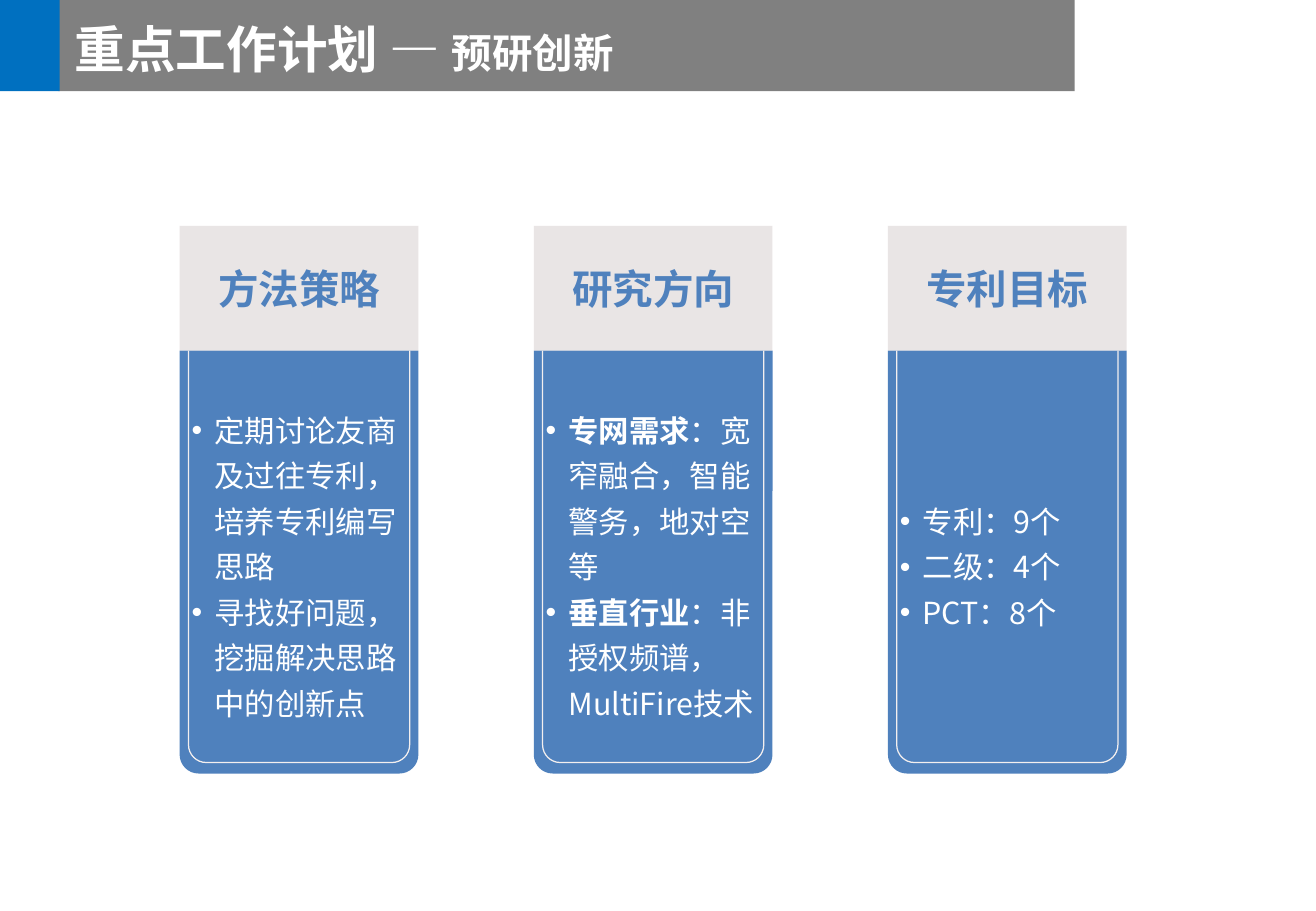
"""Build the key work plan slide on research and innovation."""
from lxml import etree
from pptx import Presentation
from pptx.dml.color import RGBColor
from pptx.enum.shapes import MSO_SHAPE
from pptx.enum.text import MSO_ANCHOR, PP_ALIGN
from pptx.oxml.ns import qn
from pptx.util import Pt

RECT = MSO_SHAPE.RECTANGLE
MIDDLE = MSO_ANCHOR.MIDDLE
LEFT, CENTER = PP_ALIGN.LEFT, PP_ALIGN.CENTER
FONT = "Noto Sans CJK SC"
COLORS = {"bar": "808080", "accent": "0070C0", "card": "4F81BD",
          "head": "BDAFAF", "outline": "F3EFEF", "white": "FFFFFF"}

TITLE = [[("重点工作计划 — ", 30, True), ("预研创新", 24, True)]]
CARDS = [
    ("方法策略", [[("定期讨论友商及过往专利，培养专利编写思路", 18, False)],
              [("寻找好问题，挖掘解决思路中的创新点", 18, False)]]),
    ("研究方向", [[("专网需求", 18, True), ("：宽窄融合，智能警务，地对空等", 18, False)],
              [("垂直行业", 18, True), ("：非授权频谱，MultiFire技术", 18, False)]]),
    ("专利目标", [[("专利：9个", 18, False)],
              [("二级：4个", 18, False)],
              [("PCT：8个", 18, False)]]),
]

SLIDE_W, SLIDE_H = 780, 540
CARD_X, CARD_W, CARD_PITCH = 106.5, 141.5, 209.9
HEAD_Y, HEAD_H = 133.9, 74
BODY_Y, BODY_H, BODY_R = HEAD_Y + HEAD_H, 250.6, 11.2
LINE_INSET, LINE_H, LINE_R = 5.2, 244.1, 10.5
BULLET_INDENT = 13.5
ROUNDNESS = 0.55


def write(sp, paragraphs, color="white", align=LEFT, inset=(7.2, 3.6),
          bullets=False, spacing=None):
    tf = sp.text_frame
    tf.word_wrap = True
    tf.vertical_anchor = MIDDLE
    tf.margin_left = tf.margin_right = Pt(inset[0])
    tf.margin_top = tf.margin_bottom = Pt(inset[1])
    for i, runs in enumerate(paragraphs):
        p = tf.add_paragraph() if i else tf.paragraphs[0]
        p.alignment = align
        p.line_spacing = spacing
        if bullets:
            pPr = p._p.get_or_add_pPr()
            pPr.set("marL", str(Pt(BULLET_INDENT)))
            pPr.set("indent", str(-Pt(BULLET_INDENT)))
            etree.SubElement(pPr, qn("a:buFont")).set("typeface", "Arial")
            etree.SubElement(pPr, qn("a:buChar")).set("char", "•")
        for text, size, bold in runs:
            r = p.add_run()
            r.text = text
            r.font.size = Pt(size)
            r.font.bold = bold
            r.font.name = FONT
            r.font.color.rgb = RGBColor.from_string(COLORS[color])
            etree.SubElement(r._r.rPr, qn("a:ea")).set("typeface", FONT)


def paint(sp, fill=None, line=None, alpha=None):
    sp.shadow.inherit = False
    if fill:
        sp.fill.solid()
        sp.fill.fore_color.rgb = RGBColor.from_string(COLORS[fill])
    else:
        sp.fill.background()
    if alpha:
        clr = sp._element.spPr.find(qn("a:solidFill"))[0]
        etree.SubElement(clr, qn("a:alpha")).set("val", str(alpha * 1000))
    if line:
        sp.line.color.rgb = RGBColor.from_string(COLORS[line])
        sp.line.width = Pt(0.75)
    else:
        sp.line.fill.background()
    return sp


def add_rect(s, x, y, w, h, fill, alpha=None):
    sp = s.shapes.add_shape(RECT, Pt(x), Pt(y), Pt(w), Pt(h))
    return paint(sp, fill, alpha=alpha)


def round_corner(segment, start, corner, end):
    curve = etree.Element(qn("a:cubicBezTo"))
    controls = [tuple(a + ROUNDNESS * (c - a) for a, c in zip(p, corner))
                for p in (start, end)]
    for px, py in controls + [end]:
        pt = etree.SubElement(curve, qn("a:pt"))
        pt.set("x", str(Pt(px)))
        pt.set("y", str(Pt(py)))
    segment.getparent().replace(segment, curve)


def add_pocket(s, x, y, w, h, radius, close):
    points = [(0, h - radius), (radius, h), (w - radius, h), (w, h - radius), (w, 0)]
    builder = s.shapes.build_freeform(Pt(x), Pt(y))
    builder.add_line_segments([(Pt(x + px), Pt(y + py)) for px, py in points], close=close)
    sp = builder.convert_to_shape()
    segments = list(sp._element.iter(qn("a:lnTo")))
    round_corner(segments[1], points[0], (0, h), points[1])
    round_corner(segments[3], points[2], (w, h), points[3])
    return sp


def add_card(s, x, heading, items):
    body = paint(add_pocket(s, x, BODY_Y, CARD_W, BODY_H, BODY_R, True), "card")
    write(body, items, bullets=True, spacing=1.25)
    head = add_rect(s, x, HEAD_Y, CARD_W, HEAD_H, "head", alpha=32)
    write(head, [[(heading, 24, True)]], color="card", align=CENTER, inset=(3, 3))
    paint(add_pocket(s, x + LINE_INSET, BODY_Y, CARD_W - 2 * LINE_INSET,
                     LINE_H, LINE_R, False), line="outline")


def main():
    prs = Presentation()
    prs.slide_width, prs.slide_height = Pt(SLIDE_W), Pt(SLIDE_H)
    s = prs.slides.add_slide(prs.slide_layouts[6])
    add_rect(s, 34.6, 0, 602.4, 54, "bar")
    add_rect(s, 0, 0, 35.4, 54, "accent")
    title = s.shapes.add_textbox(Pt(37.2), Pt(3.6), Pt(528.5), Pt(50.4))
    write(title, TITLE, inset=(7.2, 7.2))
    for i, (heading, items) in enumerate(CARDS):
        add_card(s, CARD_X + i * CARD_PITCH, heading, items)
    prs.save("out.pptx")


if __name__ == "__main__":
    main()
